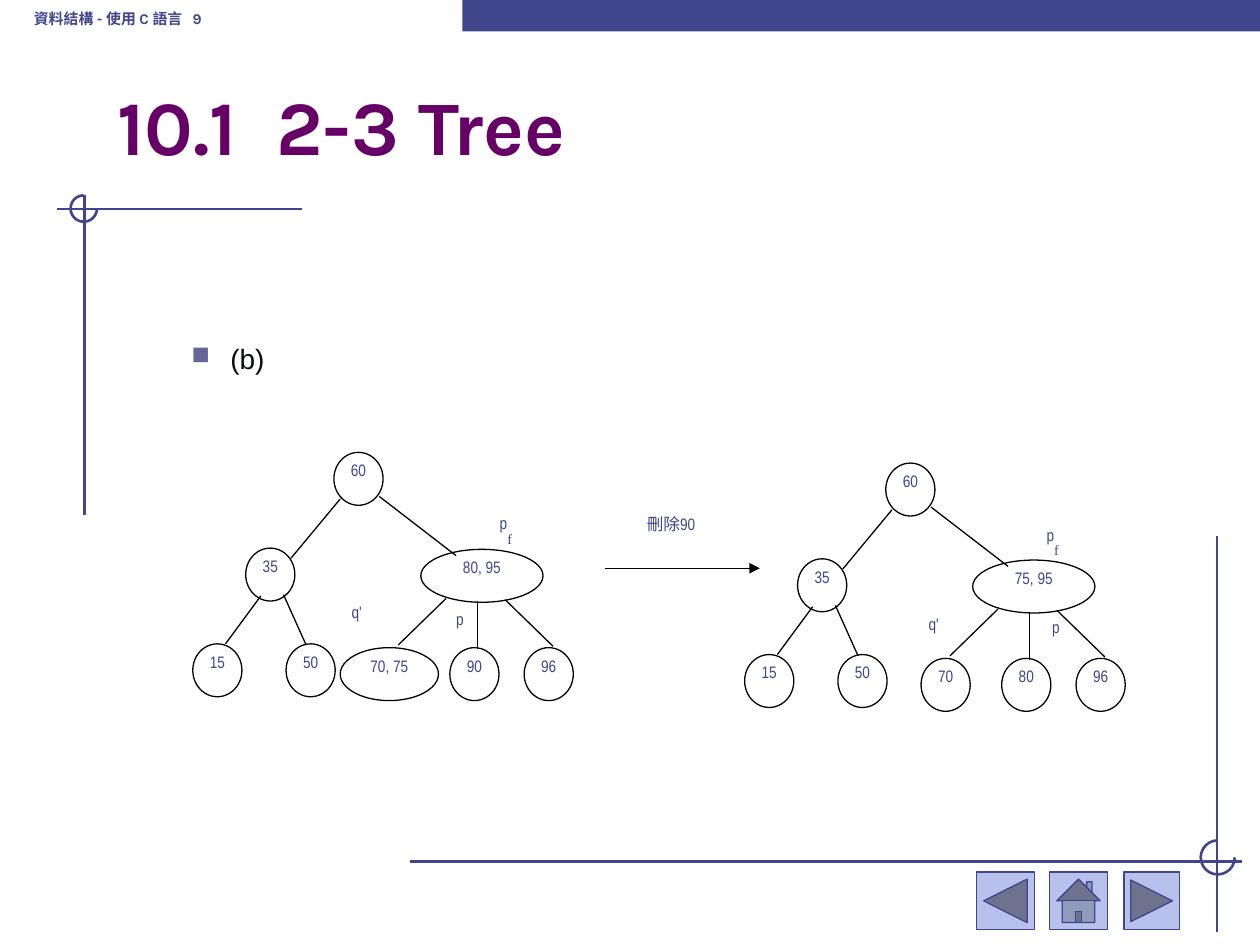
from lxml.etree import SubElement
from pptx import Presentation
from pptx.dml.color import RGBColor
from pptx.enum.shapes import MSO_CONNECTOR, MSO_SHAPE
from pptx.enum.text import MSO_ANCHOR, MSO_AUTO_SIZE, PP_ALIGN
from pptx.oxml.ns import qn
from pptx.util import Inches, Pt

INDIGO = "40458C"
BLACK = "000000"

prs = Presentation()
prs.slide_width, prs.slide_height = Inches(10), Inches(7.5)
slide = prs.slides.add_slide(prs.slide_layouts[5])
shapes = slide.shapes


def style(item, fill=None, line=None, width=0.75):
    """Colour a shape or connector from hex strings and remove its shadow."""
    if hasattr(item, "fill"):
        if fill:
            item.fill.solid()
            item.fill.fore_color.rgb = RGBColor.from_string(fill)
        else:
            item.fill.background()
    if line:
        item.line.color.rgb = RGBColor.from_string(line)
        item.line.width = Pt(width)
    else:
        item.line.fill.background()
    properties = item._element.spPr
    if properties.find(qn("a:effectLst")) is None:
        SubElement(properties, qn("a:effectLst"))


def write(item, text, size, font, color=INDIGO, bold=False, align=PP_ALIGN.LEFT,
          anchor=MSO_ANCHOR.TOP, inset=0.0):
    """Fill an item with one paragraph and return that paragraph."""
    frame = item.text_frame
    frame.word_wrap = True
    frame.auto_size = MSO_AUTO_SIZE.NONE
    frame.vertical_anchor = anchor
    frame.margin_left = frame.margin_right = Inches(inset)
    frame.margin_top = frame.margin_bottom = Inches(inset / 2)
    paragraph = frame.paragraphs[0]
    paragraph.text = text
    paragraph.alignment = align
    paragraph.font.size = Pt(size)
    paragraph.font.name = font
    paragraph.font.bold = bold
    paragraph.font.color.rgb = RGBColor.from_string(color)
    return paragraph


# Frame: top bar, corner lines with arcs, navigation buttons
top_bar = shapes.add_shape(MSO_SHAPE.RECTANGLE, Inches(3.67), 0, Inches(6.33), Inches(0.25))
style(top_bar, fill=INDIGO)

for x1, y1, x2, y2 in [(0.45, 1.66, 2.4, 1.66), (0.67, 1.55, 0.67, 4.09),
                       (3.25, 6.84, 9.86, 6.84), (9.66, 4.25, 9.66, 7.4)]:
    rule = shapes.add_connector(MSO_CONNECTOR.STRAIGHT, Inches(x1), Inches(y1),
                                Inches(x2), Inches(y2))
    style(rule, line=INDIGO, width=1.5)

for left, top, size in [(0.56, 1.55, 0.21), (9.53, 6.67, 0.27)]:
    corner = shapes.add_shape(MSO_SHAPE.ARC, Inches(left), Inches(top), Inches(size), Inches(size))
    corner.adjustments[0] = 0
    corner.adjustments[1] = 162  # 270 degrees
    style(corner, line=INDIGO, width=1.5)

for button_type, left, width in [(MSO_SHAPE.ACTION_BUTTON_BACK_OR_PREVIOUS, 7.75, 0.46),
                                 (MSO_SHAPE.ACTION_BUTTON_HOME, 8.33, 0.46),
                                 (MSO_SHAPE.ACTION_BUTTON_FORWARD_OR_NEXT, 8.92, 0.44)]:
    button = shapes.add_shape(button_type, Inches(left), Inches(6.92), Inches(width), Inches(0.46))
    style(button, fill="B7C1EB", line=INDIGO)

# Header, title and bullet
header = shapes.add_textbox(Inches(0.17), Inches(0.01), Inches(3.08), Inches(0.27))
write(header, "資料結構 - 使用 C 語言   9", 8.5, "Karla", bold=True,
      anchor=MSO_ANCHOR.MIDDLE, inset=0.1)

title = shapes.title
title.left, title.top, title.width, title.height = map(Inches, (0.83, 0.58, 8.5, 0.83))
write(title, "10.1  2-3 Tree", 44, "Karla", "660066", bold=True,
      anchor=MSO_ANCHOR.BOTTOM, inset=0.1)

body = shapes.add_textbox(Inches(0.92), Inches(2.66), Inches(8.41), Inches(3.99))
bullet_properties = body.text_frame.paragraphs[0]._p.get_or_add_pPr()
bullet_properties.set("marL", str(Inches(0.81)))
bullet_properties.set("indent", str(Inches(-0.31)))
bullet_color = SubElement(bullet_properties, qn("a:buClr"))
SubElement(bullet_color, qn("a:srgbClr")).set("val", "666699")
SubElement(bullet_properties, qn("a:buSzPct")).set("val", "90000")
SubElement(bullet_properties, qn("a:buChar")).set("char", "■")
write(body, "(b)", 16, "Arial", "090A15", inset=0.1)

# Both trees share one layout; the second is shifted and has other keys
EDGES = [(2.7, 3.96, 2.31, 4.43), (3.01, 3.94, 3.62, 4.41),
         (2.07, 4.73, 1.79, 5.11), (2.25, 4.72, 2.43, 5.12),
         (3.54, 4.75, 3.16, 5.12), (3.79, 4.77, 3.79, 5.15), (4.01, 4.76, 4.39, 5.13)]
NODES = [(2.65, 3.59), (1.95, 4.35), (3.34, 4.36),
         (1.53, 5.11), (2.27, 5.11), (2.7, 5.14), (3.57, 5.14), (4.16, 5.14)]
PAIR_WIDTH, LEAF_PAIR_WIDTH, KEY_WIDTH, NODE_HEIGHT = 0.97, 0.78, 0.39, 0.42
SINGLE_LEAF_LEFT = 2.93

before = ["60", "35", "80, 95", "15", "50", "70, 75", "90", "96"]
after = ["60", "35", "75, 95", "15", "50", "70", "80", "96"]

for keys, dx, dy in [(before, 0, 0), (after, 4.38, 0.085)]:
    for x1, y1, x2, y2 in EDGES:
        edge = shapes.add_connector(MSO_CONNECTOR.STRAIGHT, Inches(x1 + dx), Inches(y1 + dy),
                                    Inches(x2 + dx), Inches(y2 + dy))
        style(edge, line=BLACK)
    for (left, top), key in zip(NODES, keys):
        width = KEY_WIDTH
        if "," in key:
            width = PAIR_WIDTH if top < 5 else LEAF_PAIR_WIDTH
        elif key == "70":
            left = SINGLE_LEAF_LEFT
        node = shapes.add_shape(MSO_SHAPE.OVAL, Inches(left + dx), Inches(top + dy),
                                Inches(width), Inches(NODE_HEIGHT))
        style(node, line=BLACK)
        write(node, key, 9.5, "Arial Narrow", align=PP_ALIGN.CENTER)

# Pointer labels and the deletion step
for text, left, top, width, align in [
        ("q'", 2.79, 4.78, 0.34, PP_ALIGN.LEFT), ("p", 3.48, 4.83, 0.34, PP_ALIGN.CENTER),
        ("q'", 7.24, 4.87, 0.34, PP_ALIGN.CENTER), ("p", 8.21, 4.9, 0.34, PP_ALIGN.CENTER),
        ("p", 3.79, 4.01, 0.45, PP_ALIGN.CENTER), ("p", 8.13, 4.1, 0.45, PP_ALIGN.CENTER),
        ("刪除90", 4.72, 4.08, 1.21, PP_ALIGN.CENTER)]:
    label = shapes.add_textbox(Inches(left), Inches(top), Inches(width), Inches(0.3))
    paragraph = write(label, text, 9.5, "Arial Narrow", align=align)
    if text == "p" and top < 4.5:
        subscript = paragraph.add_run()
        subscript.text = "f"
        subscript.font.name = "Times New Roman"
        subscript.font.size = Pt(14)
        subscript.font.color.rgb = RGBColor.from_string(INDIGO)
        subscript.font._element.set("baseline", "-60000")

step_arrow = shapes.add_connector(MSO_CONNECTOR.STRAIGHT, Inches(4.8), Inches(4.51),
                                  Inches(6.03), Inches(4.51))
style(step_arrow, line=BLACK)
SubElement(step_arrow.line._get_or_add_ln(), qn("a:tailEnd")).set("type", "triangle")

prs.save("out.pptx")
